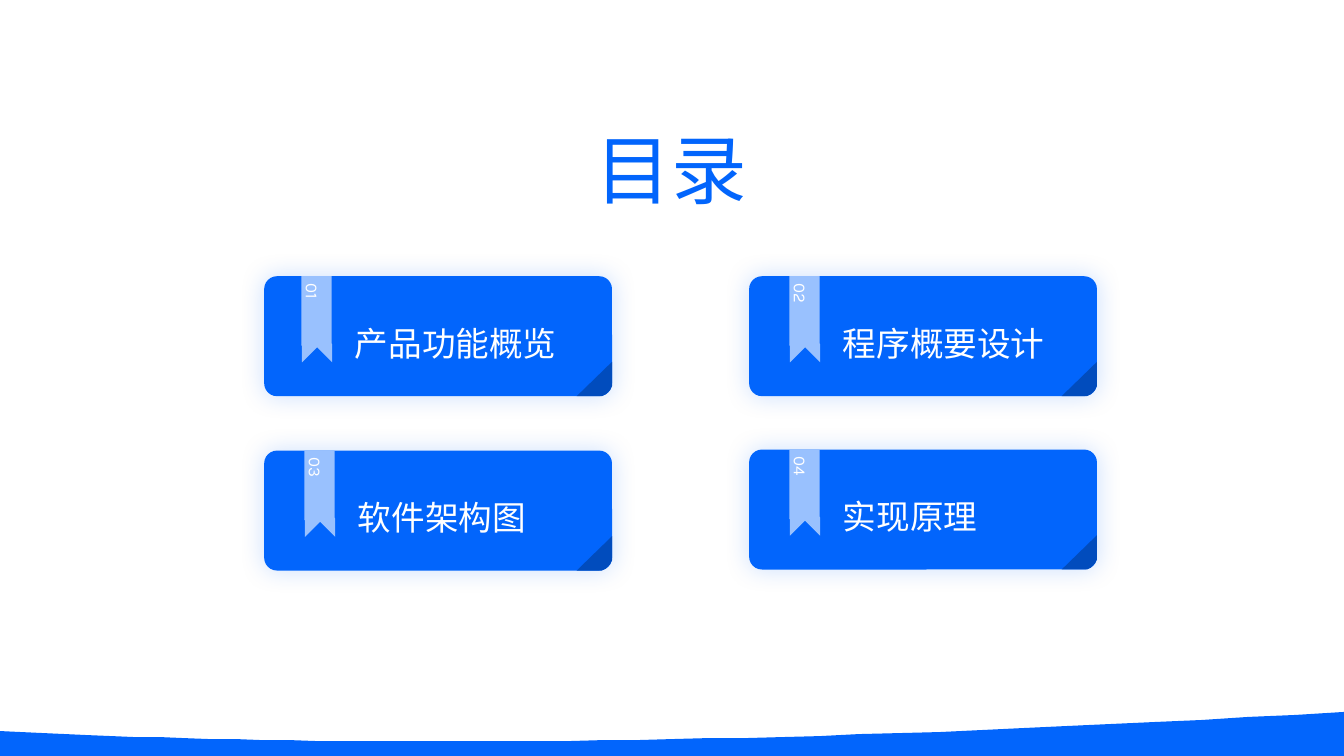
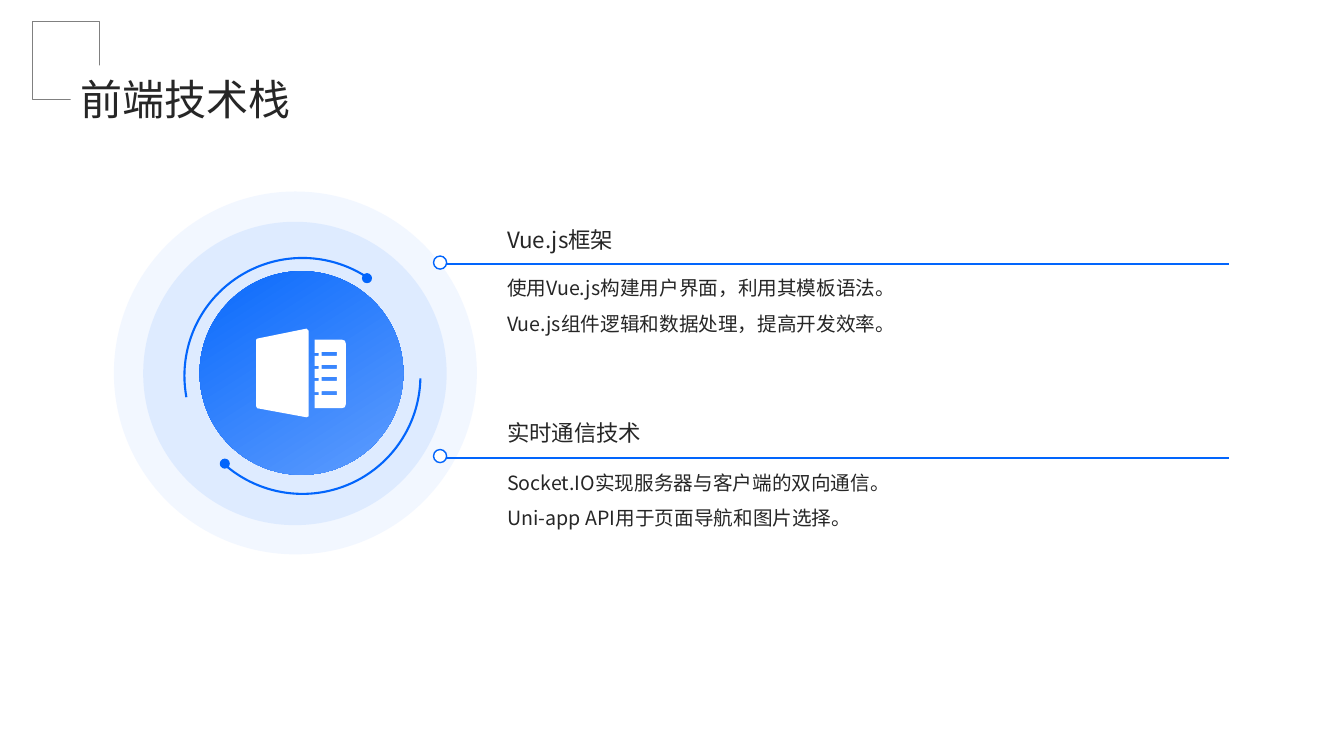
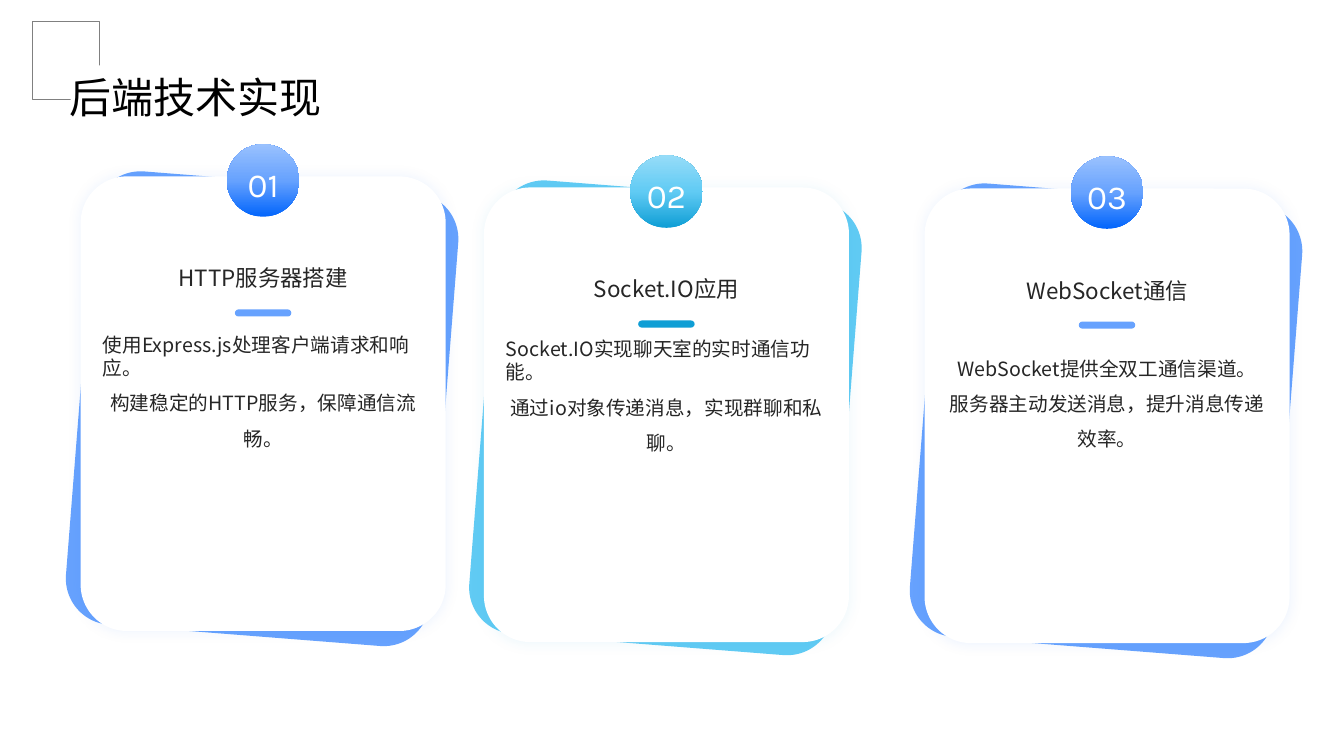
from dataclasses import dataclass
from typing import NamedTuple, Optional, Sequence

from pptx import Presentation
from pptx.dml.color import RGBColor
from pptx.enum.shapes import MSO_CONNECTOR, MSO_SHAPE as SHAPE
from pptx.enum.text import MSO_ANCHOR as ANCHOR, PP_ALIGN as ALIGN
from pptx.oxml import parse_xml
from pptx.oxml.ns import nsdecls, qn
from pptx.shapes.autoshape import Shape
from pptx.slide import Slide
from pptx.util import Emu, Pt

# Shared measures and styles
EMU_PER_PX = 9144  # 100 px to the inch
SLIDE_WIDTH, SLIDE_HEIGHT = 1333, 750
BLUE, MID_BLUE, PALE_BLUE = "0265FC", "67A2FE", "99C1FE"
DARK_BLUE, HALO = "014CBD", "CCE0FF"
CYAN, MID_CYAN, PALE_CYAN = "0F9ED5", "61CBF4", "96DCF8"
WHITE, BLACK, INK, GREY = "FFFFFF", "000000", "262626", "808080"
KARLA, NOTO = "Karla", "Noto Sans CJK SC"

Point = tuple[int, int]


class Box(NamedTuple):
    left: int
    top: int
    width: int
    height: int


class Line(NamedTuple):
    text: str
    spacing: float = 1.1
    align: ALIGN = ALIGN.LEFT


class Style(NamedTuple):
    size: int
    color: str
    font: str = NOTO
    anchor: ANCHOR = ANCHOR.TOP
    inset: Point = (0, 0)


class Shadow(NamedTuple):
    color: str
    alpha: int
    blur: int


@dataclass(frozen=True)
class AgendaCard:
    number: str
    label: str
    left: int
    top: int
    ribbon_dx: int = 40


@dataclass(frozen=True)
class Topic:
    heading: str
    lines: tuple[str, str]
    heading_top: int
    rule_y: int
    body_top: int


@dataclass(frozen=True)
class Palette:
    deep: str
    middle: str
    pale: str
    bar: str


@dataclass(frozen=True)
class BackendCard:
    number: str
    heading: str
    body: tuple[Line, Line]
    left: int
    top: int
    back_dy: int
    body_dy: int
    palette: Palette


def px(value: int) -> Emu:
    return Emu(value * EMU_PER_PX)


def rgb(color: str) -> RGBColor:
    return RGBColor.from_string(color)


# Drawing helpers
def paint(shape: Shape, fill: Optional[str], line: Optional[str], width: float) -> None:
    shape.shadow.inherit = False
    if fill:
        shape.fill.solid()
        shape.fill.fore_color.rgb = rgb(fill)
    else:
        shape.fill.background()
    if line:
        shape.line.color.rgb = rgb(line)
        shape.line.width = Pt(width)
    else:
        shape.line.fill.background()


def add_shape(slide: Slide, kind: SHAPE, box: Box, fill: Optional[str] = None,
              line: Optional[str] = None, width: float = 1, rotation: float = 0,
              adjust: Sequence[float] = ()) -> Shape:
    shape = slide.shapes.add_shape(kind, *map(px, box))
    paint(shape, fill, line, width)
    shape.rotation = rotation
    for index, value in enumerate(adjust):
        shape.adjustments[index] = value
    return shape


def add_outline(slide: Slide, contours: Sequence[Sequence[Point]], fill: str,
                line: Optional[str] = None) -> Shape:
    first, *others = contours
    builder = slide.shapes.build_freeform(*first[0], scale=EMU_PER_PX)
    builder.add_line_segments(first[1:], close=True)
    for contour in others:
        builder.move_to(*contour[0])
        builder.add_line_segments(contour[1:], close=True)
    shape = builder.convert_to_shape()
    paint(shape, fill, line, 1)
    return shape


def bezier(start: Point, control_1: Point, control_2: Point, end: Point,
           steps: int) -> list[tuple[float, float]]:
    points = []
    for step in range(steps + 1):
        t = step / steps
        weights = ((1 - t) ** 3, 3 * t * (1 - t) ** 2, 3 * t * t * (1 - t), t ** 3)
        corners = (start, control_1, control_2, end)
        points.append(tuple(sum(w * c[axis] for w, c in zip(weights, corners))
                            for axis in (0, 1)))
    return points


def add_text(slide: Slide, box: Box, lines: Sequence[Line], style: Style) -> Shape:
    shape = slide.shapes.add_textbox(*map(px, box))
    frame = shape.text_frame
    frame.word_wrap = True
    frame.vertical_anchor = style.anchor
    frame.margin_left = frame.margin_right = px(style.inset[0])
    frame.margin_top = frame.margin_bottom = px(style.inset[1])
    for index, line in enumerate(lines):
        paragraph = frame.add_paragraph() if index else frame.paragraphs[0]
        paragraph.alignment = line.align
        paragraph.line_spacing = line.spacing
        run = paragraph.add_run()
        run.text = line.text
        run.font.size = Pt(style.size)
        run.font.name = style.font
        run.font.color.rgb = rgb(style.color)
        east_asian = parse_xml(f'<a:ea {nsdecls("a")} typeface="{NOTO}"/>')
        run.font._element.find(qn("a:latin")).addnext(east_asian)
    return shape


def set_alpha(shape: Shape, percent: int) -> None:
    color = shape._element.spPr.find(qn("a:solidFill"))[0]
    color.append(parse_xml(f'<a:alpha {nsdecls("a")} val="{percent * 1000}"/>'))


def set_gradient(shape: Shape, colors: Sequence[str], angle: int) -> None:
    last = len(colors) - 1
    stops = "".join(
        f'<a:gs pos="{100000 * index // last}"><a:srgbClr val="{color}"/></a:gs>'
        for index, color in enumerate(colors))
    gradient = parse_xml(
        f'<a:gradFill {nsdecls("a")} rotWithShape="1"><a:gsLst>{stops}</a:gsLst>'
        f'<a:lin ang="{angle * 60000}" scaled="0"/></a:gradFill>')
    properties = shape._element.spPr
    properties.replace(properties.find(qn("a:solidFill")), gradient)


def set_shadow(shape: Shape, shadow: Shadow) -> None:
    effects = shape._element.spPr.find(qn("a:effectLst"))
    effects.append(parse_xml(
        f'<a:outerShdw {nsdecls("a")} blurRad="{Pt(shadow.blur)}" dist="0" dir="0" '
        f'algn="ctr" rotWithShape="0"><a:srgbClr val="{shadow.color}">'
        f'<a:alpha val="{shadow.alpha * 1000}"/></a:srgbClr></a:outerShdw>'))


def add_rule(slide: Slide, left: int, right: int, y: int) -> None:
    connector = slide.shapes.add_connector(
        MSO_CONNECTOR.STRAIGHT, px(left), px(y), px(right), px(y))
    connector.line.color.rgb = rgb(BLUE)
    connector.line.width = Pt(1.5)
    connector._element.spPr.append(parse_xml(f'<a:effectLst {nsdecls("a")}/>'))


def add_title(slide: Slide, box: Box, line: Line, style: Style) -> None:
    """Open square frame with the slide title at its lower right corner."""
    add_shape(slide, SHAPE.RECTANGLE, Box(32, 21, 67, 78), line=GREY, width=0.75)
    add_shape(slide, SHAPE.RECTANGLE, Box(70, 65, 61, 50), WHITE)
    add_text(slide, box, [line], style)


# Slide 1: agenda
AGENDA = (
    AgendaCard("01", "产品功能概览", 262, 274, ribbon_dx=37),
    AgendaCard("02", "程序概要设计", 743, 274),
    AgendaCard("03", "软件架构图", 262, 447),
    AgendaCard("04", "实现原理", 743, 446),
)


def draw_agenda_card(slide: Slide, card: AgendaCard) -> None:
    box = Box(card.left, card.top, 345, 119)
    base = add_shape(slide, SHAPE.ROUNDED_RECTANGLE, box, BLUE, adjust=[0.107])
    set_shadow(base, Shadow(BLUE, 20, 18))

    # Ribbon with a notched end
    ribbon = card.left + card.ribbon_dx
    add_shape(slide, SHAPE.RECTANGLE, Box(ribbon, card.top, 30, 69), PALE_BLUE)
    add_shape(slide, SHAPE.CHEVRON, Box(ribbon - 1, card.top + 54, 33, 30),
              PALE_BLUE, rotation=270)

    # Folded corner
    right, bottom = box.left + box.width, box.top + box.height
    curve = bezier((right, bottom - 13), (right, bottom - 6),
                   (right - 6, bottom), (right - 13, bottom), 8)
    add_outline(slide, [[(right, bottom - 34), *curve, (right - 35, bottom)]], DARK_BLUE)

    number = add_text(slide, Box(ribbon + 6, card.top + 7, 17, 58),
                      [Line(card.number)], Style(12, WHITE, KARLA))
    number.text_frame._txBody.bodyPr.set("vert", "eaVert")
    add_text(slide, Box(ribbon + 53, card.top + 15, 209, 90),
             [Line(card.label, 1.3)], Style(24, WHITE, KARLA, ANCHOR.MIDDLE))


def draw_agenda(slide: Slide) -> None:
    wave = bezier((0, 726), (278, 740), (688, 745), (SLIDE_WIDTH, 707), 40)
    add_outline(slide, [[*wave, (SLIDE_WIDTH, SLIDE_HEIGHT), (0, SLIDE_HEIGHT)]],
                BLUE, BLUE)
    add_text(slide, Box(591, 113, 152, 91), [Line("目录")], Style(54, BLUE, KARLA))
    for card in AGENDA:
        draw_agenda_card(slide, card)


# Slide 2: front end
TOPICS = (
    Topic("Vue.js框架",
          ("使用Vue.js构建用户界面，利用其模板语法。",
           "Vue.js组件逻辑和数据处理，提高开发效率。"), 210, 262, 274),
    Topic("实时通信技术",
          ("Socket.IO实现服务器与客户端的双向通信。",
           "Uni-app API用于页面导航和图片选择。"), 401, 454, 467),
)


def draw_emblem(slide: Slide) -> None:
    for box, alpha in ((Box(113, 190, 360, 360), 24), (Box(142, 220, 301, 301), 51)):
        set_alpha(add_shape(slide, SHAPE.OVAL, box, HALO), alpha)

    # Arcs run clockwise from start to end, in degrees
    for start, end in ((169.6, 305), (1.2, 130.5)):
        add_shape(slide, SHAPE.ARC, Box(183, 256, 234, 234), line=BLUE, width=1.5,
                  adjust=[start * 0.6, end * 0.6])
    for left, top in ((359, 271), (218, 455)):
        add_shape(slide, SHAPE.OVAL, Box(left, top, 10, 10), BLUE)
    disc = add_shape(slide, SHAPE.OVAL, Box(198, 269, 202, 202), BLUE, rotation=12.4)
    set_gradient(disc, (BLUE, MID_BLUE), 45)

    # Icon: slotted page behind a tilted panel
    slot_tops = (349, 362, 374, 388)
    slots = [[(319, y), (319, y + 4), (334, y + 4), (334, y)] for y in slot_tops]
    notches = [point for y in reversed(slot_tops)
               for point in ((312, y + 4), (316, y + 4), (316, y + 1), (312, y + 1))]
    page = [(312, 337), (339, 337), (342, 338), (343, 341), (343, 401), (342, 404),
            (339, 405), (312, 405), *notches]
    panel = [(304, 326), (306, 328), (306, 413), (304, 414),
             (255, 405), (254, 403), (254, 337), (255, 336)]
    add_outline(slide, [page, *slots, panel], WHITE)


def draw_front_end(slide: Slide) -> None:
    draw_emblem(slide)
    for topic in TOPICS:
        add_rule(slide, 435, 1219, topic.rule_y)
        add_shape(slide, SHAPE.OVAL, Box(430, topic.rule_y - 8, 13, 13), WHITE, BLUE)
        add_text(slide, Box(503, topic.heading_top, 711, 41),
                 [Line(topic.heading, 1.3)], Style(16, INK, anchor=ANCHOR.BOTTOM))
        first, second = topic.lines
        add_text(slide, Box(503, topic.body_top, 711, 138),
                 [Line(first, 1.0), Line(second, 1.5)], Style(14, INK))
    add_title(slide, Box(80, 68, 1110, 46), Line("前端技术栈"), Style(30, INK))


# Slide 3: back end
BLUES = Palette(BLUE, MID_BLUE, PALE_BLUE, MID_BLUE)
CYANS = Palette(CYAN, MID_CYAN, PALE_CYAN, CYAN)
PADDING = (10, 5)
BACKEND = (
    BackendCard("01", "HTTP服务器搭建",
                (Line("使用Express.js处理客户端请求和响应。", 1.0),
                 Line("构建稳定的HTTP服务，保障通信流畅。", 1.5, ALIGN.CENTER)),
                80, 175, 5, 150, BLUES),
    BackendCard("02", "Socket.IO应用",
                (Line("Socket.IO实现聊天室的实时通信功能。", 1.0),
                 Line("通过io对象传递消息，实现群聊和私聊。", 1.5, ALIGN.CENTER)),
                480, 186, 3, 143, CYANS),
    BackendCard("03", "WebSocket通信",
                (Line("WebSocket提供全双工通信渠道。", 1.5, ALIGN.CENTER),
                 Line("服务器主动发送消息，提升消息传递效率。", 1.5, ALIGN.CENTER)),
                917, 187, 5, 150, BLUES),
)


def draw_backend_card(slide: Slide, card: BackendCard) -> None:
    left, top, palette = card.left, card.top, card.palette
    add_shape(slide, SHAPE.ROUNDED_RECTANGLE, Box(left - 1, top + card.back_dy, 362, 451),
              palette.middle, rotation=4.5, adjust=[0.127])
    front = add_shape(slide, SHAPE.ROUNDED_RECTANGLE, Box(left, top, 362, 451),
                      WHITE, adjust=[0.127])
    set_shadow(front, Shadow(palette.deep, 8, 10))
    add_text(slide, Box(left + 12, top + card.body_dy, 338, 278), card.body,
             Style(14, INK, inset=PADDING))
    add_text(slide, Box(left + 12, top + 47, 338, 72),
             [Line(card.heading, align=ALIGN.CENTER)],
             Style(16, INK, anchor=ANCHOR.BOTTOM, inset=PADDING))
    badge = add_shape(slide, SHAPE.FLOWCHART_CONNECTOR,
                      Box(left + 145, top - 32, 72, 72), palette.deep)
    set_gradient(badge, (palette.deep, palette.middle, palette.pale), 270)
    add_text(slide, Box(left + 114, top - 21, 134, 50),
             [Line(card.number, align=ALIGN.CENTER)],
             Style(24, WHITE, KARLA, inset=PADDING))
    add_shape(slide, SHAPE.ROUNDED_RECTANGLE, Box(left + 153, top + 132, 56, 7),
              palette.bar, adjust=[0.5])


def draw_back_end(slide: Slide) -> None:
    for card in BACKEND:
        draw_backend_card(slide, card)
    add_title(slide, Box(0, 30, 388, 116), Line("后端技术实现", 1.3, ALIGN.CENTER),
              Style(30, BLACK, KARLA, ANCHOR.MIDDLE, PADDING))


def main() -> None:
    presentation = Presentation()
    presentation.slide_width = px(SLIDE_WIDTH)
    presentation.slide_height = px(SLIDE_HEIGHT)
    blank = presentation.slide_layouts[6]
    for draw in (draw_agenda, draw_front_end, draw_back_end):
        draw(presentation.slides.add_slide(blank))
    presentation.save("out.pptx")


if __name__ == "__main__":
    main()
